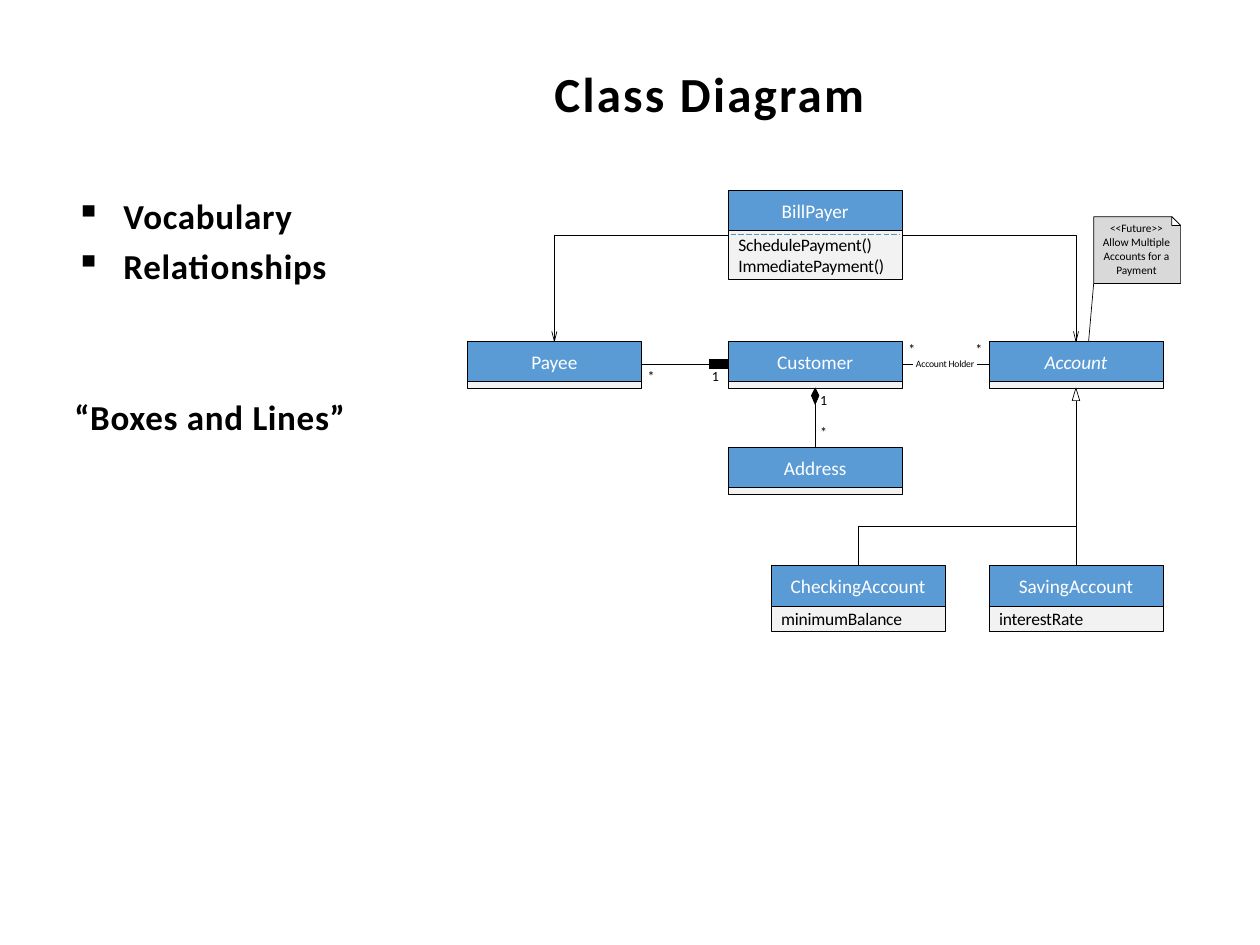
from collections import namedtuple
from dataclasses import dataclass

from lxml import etree
from pptx import Presentation
from pptx.dml.color import RGBColor
from pptx.enum.dml import MSO_LINE
from pptx.enum.shapes import MSO_CONNECTOR, MSO_SHAPE
from pptx.enum.text import MSO_ANCHOR, MSO_AUTO_SIZE, PP_ALIGN
from pptx.oxml.ns import qn
from pptx.util import Inches, Pt

LEFT, CENTER = PP_ALIGN.LEFT, PP_ALIGN.CENTER
TOP, MIDDLE = MSO_ANCHOR.TOP, MSO_ANCHOR.MIDDLE
RECT, STRAIGHT = MSO_SHAPE.RECTANGLE, MSO_CONNECTOR.STRAIGHT
DASH, NO_FIT = MSO_LINE.LONG_DASH, MSO_AUTO_SIZE.NONE


@dataclass(frozen=True)
class Theme:
    font: str = "Calibri"
    ink: str = "000000"
    paper: str = "FFFFFF"
    head: str = "5B9BD5"
    body: str = "F2F2F2"
    note: str = "D9D9D9"
    dash: str = "5692C9"
    title: float = 28
    point: float = 20
    name: float = 11
    member: float = 10
    mark: float = 8
    remark: float = 6.5
    role: float = 5.5
    line: float = 0.4
    thick: float = 5.65


THEME = Theme()
Box = namedtuple("Box", "x y w h")
WIDE, HEAD = 1.38, 0.32
STEP = 2.07


def rgb(code):
    return RGBColor.from_string(code)


def emu(*sizes):
    return [Inches(size) for size in sizes]


def style(par, size, color=THEME.ink, bold=False, italic=False, gap=0.0):
    """Format a paragraph; gap is the letter spacing in points."""
    font = par.font
    font.name, font.size = THEME.font, Pt(size)
    font.bold, font.italic = bold, italic
    font.color.rgb = rgb(color)
    par._p.pPr.find(qn("a:defRPr")).set("spc", str(round(gap * 100)))


def frame(shape, anchor=TOP, inset=0.0, wrap=True):
    text = shape.text_frame
    text.auto_size, text.word_wrap = NO_FIT, wrap
    text.vertical_anchor = anchor
    text.margin_left = Inches(inset)
    text.margin_right = text.margin_top = text.margin_bottom = 0
    return text


def indent(par, left, first=0.0):
    props = par._p.get_or_add_pPr()
    props.set("marL", str(Inches(left)))
    props.set("indent", str(Inches(first)))


def bullet(par, sign):
    base = par._p.pPr.find(qn("a:defRPr"))
    mark = etree.Element(qn("a:buChar"), char=sign)
    base.addprevious(mark)


def label(slide, box, words, size, wrap=False, **look):
    text = frame(slide.shapes.add_textbox(*emu(*box)), wrap=wrap)
    par = text.paragraphs[0]
    par.text = words
    style(par, size, **look)
    return par


def panel(slide, box, fill):
    shape = slide.shapes.add_shape(RECT, *emu(*box))
    shape.shadow.inherit = False
    shape.fill.solid()
    shape.fill.fore_color.rgb = rgb(fill)
    shape.line.color.rgb = rgb(THEME.ink)
    shape.line.width = Pt(THEME.line)
    return shape


def line(slide, start, end, width=THEME.line, color=THEME.ink):
    link = slide.shapes.add_connector(STRAIGHT, *emu(*start, *end))
    link.line.color.rgb = rgb(color)
    link.line.width = Pt(width)
    etree.SubElement(link._element.spPr, qn("a:effectLst"))
    return link


def trace(slide, points, fill=None, close=False):
    spots = [emu(*point) for point in points]
    path = slide.shapes.build_freeform(*spots[0])
    path.add_line_segments(spots[1:], close=close)
    shape = path.convert_to_shape()
    shape.shadow.inherit = False
    if fill:
        shape.fill.solid()
        shape.fill.fore_color.rgb = rgb(fill)
    else:
        shape.fill.background()
    shape.line.color.rgb = rgb(THEME.ink)
    shape.line.width = Pt(THEME.line)


def heading(slide, box, words):
    title = slide.shapes.title
    title.left, title.top, title.width, title.height = emu(*box)
    par = frame(title).paragraphs[0]
    par.text, par.alignment = words, LEFT
    indent(par, 2.29)
    style(par, THEME.title, bold=True, gap=1.3)


def points(slide, box, items):
    text = frame(slide.shapes.add_textbox(*emu(*box)))
    for i, item in enumerate(items):
        par = text.add_paragraph() if i else text.paragraphs[0]
        par.text = item
        par.space_before = Pt(4.8 if i else 0)
        indent(par, 0.39, -0.38)
        style(par, THEME.point, bold=True, gap=0.4)
        bullet(par, "▪")


def entity(slide, x, y, name, members="", tall=0.05, italic=False):
    """Draw a class with its name above its members; return its box."""
    body = panel(slide, (x, y + HEAD, WIDE, tall), THEME.body)
    if members:
        par = frame(body, MIDDLE, 0.08).paragraphs[0]
        par.text, par.alignment = members, LEFT
        style(par, THEME.member, gap=-0.1)
    head = panel(slide, (x, y, WIDE, HEAD), THEME.head)
    par = frame(head, MIDDLE).paragraphs[0]
    par.text, par.alignment = name, CENTER
    style(par, THEME.name, THEME.paper, italic=italic)
    return Box(x, y, WIDE, HEAD + tall)


def mid(box):
    return box.x + box.w / 2


def base(box):
    return box.y + box.h


def arrow(slide, start, box):
    """Run from start across and down to the top of box."""
    x, y = mid(box), box.y
    trace(slide, [start, (x, start[1]), (x, y)])
    trace(slide, [(x - 0.02, y - 0.08), (x, y), (x + 0.02, y - 0.08)])


def remark(slide, box, words, target):
    x, y, w, h = box
    right, fold = x + w, 0.07
    ring = [(x, y + h), (right, y + h), (right, y + fold),
            (right - fold, y), (x, y)]
    trace(slide, ring, THEME.note, True)
    line(slide, (x, y + h), target)
    par = label(slide, (x + 0.05, y + 0.03, w - 0.11, h - 0.06), words, THEME.remark)
    par.alignment, par.line_spacing = CENTER, 1.03
    trace(slide, [(right, y + fold), (right - fold, y + fold),
                  (right - fold, y)], THEME.paper, True)


def diagram(slide, x, y):
    near, far = x + STEP, x + 2 * STEP
    row, low = y + 1.2, y + 2.98
    payee = entity(slide, x, row, "Payee")
    owner = entity(slide, near, row, "Customer")
    account = entity(slide, far, row, "Account", italic=True)
    payer = entity(slide, near, y, "BillPayer",
                   "SchedulePayment()\vImmediatePayment()", 0.39)
    home = entity(slide, near, y + 2.04, "Address")
    check = entity(slide, near + 0.34, low, "CheckingAccount",
                   "minimumBalance", 0.2)
    save = entity(slide, far, low, "SavingAccount", "interestRate", 0.2)

    rule, edge = y + 0.35, near + WIDE
    line(slide, (near + 0.02, rule), (edge - 0.02, rule),
         color=THEME.dash).line.dash_style = DASH
    arrow(slide, (near, y + 0.36), payee)
    arrow(slide, (edge, y + 0.36), account)

    level = row + 0.18
    line(slide, (x + WIDE, level), (near - 0.15, level))
    line(slide, (near - 0.15, level), (near, level), THEME.thick)
    line(slide, (edge, level), (edge + 0.09, level))
    line(slide, (far - 0.1, level), (far, level))

    stem, foot = mid(owner), base(owner)
    line(slide, (stem, foot), (stem, home.y))
    trace(slide, [(stem - 0.03, foot + 0.06), (stem, foot),
                  (stem + 0.03, foot + 0.06), (stem, foot + 0.13)],
          THEME.ink, True)

    stem, foot = mid(account), base(account)
    neck, bend = foot + 0.1, low - 0.31
    line(slide, (stem, save.y), (stem, neck))
    trace(slide, [(mid(check), check.y), (mid(check), bend),
                  (stem, bend), (stem, neck)])
    trace(slide, [(stem - 0.03, neck), (stem, foot), (stem + 0.03, neck)],
          THEME.paper, True)

    marks = [("*", 1.43, 1.41), ("1", 1.94, 1.41), ("1", 2.8, 1.6),
             ("*", 2.8, 1.85), ("*", 3.5, 1.19), ("*", 4.03, 1.19)]
    for sign, right, down in marks:
        label(slide, (x + right, y + down, 0.08, 0.15), sign, THEME.mark)
    label(slide, (edge + 0.11, level - 0.05, 0.5, 0.1), "Account Holder",
          THEME.role, gap=-0.1)
    remark(slide, Box(far + 0.83, y + 0.21, 0.69, 0.53),
           "<<Future>>\vAllow Multiple\vAccounts for a\vPayment",
           (far + 0.79, row))


def main():
    deck = Presentation()
    deck.slide_width, deck.slide_height = emu(10, 7.5)
    slide = deck.slides.add_slide(deck.slide_layouts[5])
    heading(slide, (2.11, 0.5, 5.78, 0.48), "Class Diagram")
    points(slide, (0.59, 1.54, 2.03, 0.75), ["Vocabulary", "Relationships"])
    label(slide, (0.59, 3.14, 2.17, 0.35), "“Boxes and Lines”",
          THEME.point, bold=True, gap=0.4)
    diagram(slide, 3.71, 1.51)
    deck.save("out.pptx")


if __name__ == "__main__":
    main()
